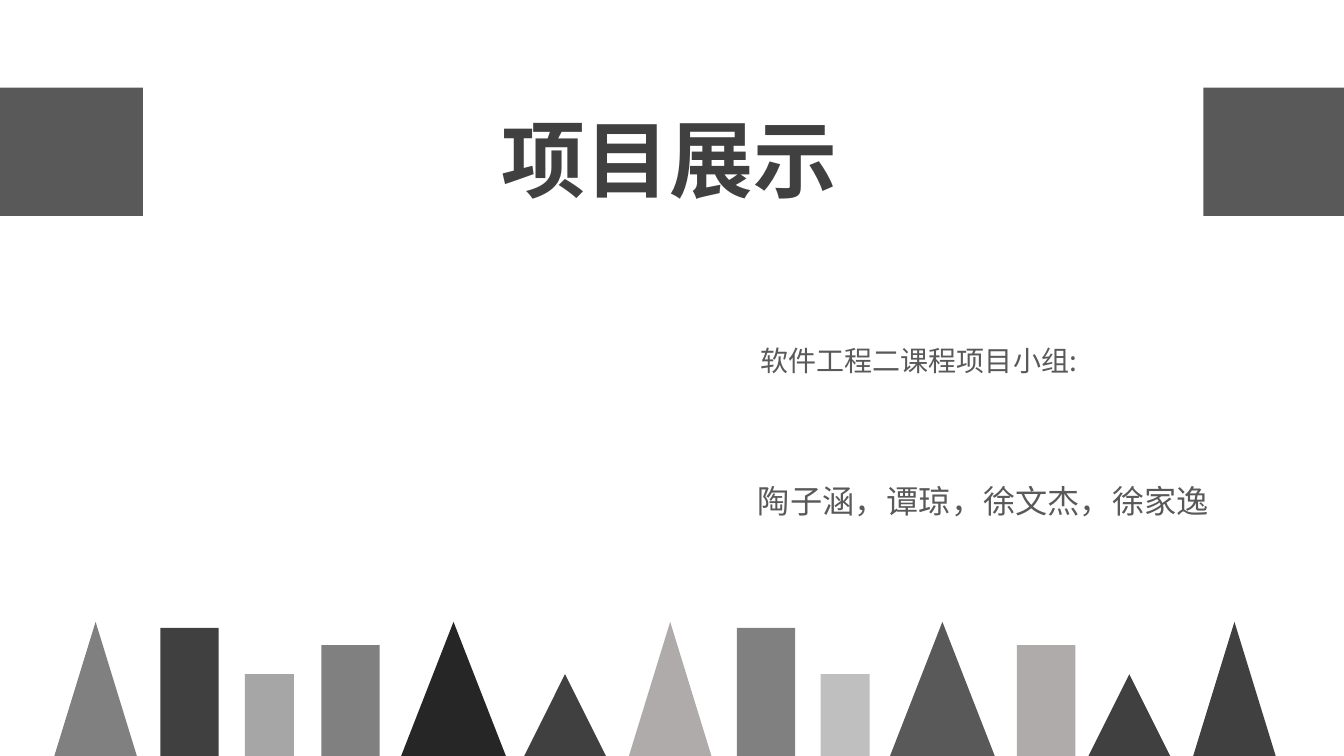
from lxml.etree import SubElement
from pptx import Presentation
from pptx.dml.color import RGBColor
from pptx.enum.shapes import MSO_SHAPE
from pptx.enum.text import MSO_ANCHOR, MSO_AUTO_SIZE, PP_ALIGN
from pptx.oxml.ns import qn
from pptx.util import Cm, Pt

FONT = "Noto Sans CJK SC"
WIDTH, HEIGHT = 33.87, 19.05
TOWER, PEAK = MSO_SHAPE.RECTANGLE, MSO_SHAPE.ISOSCELES_TRIANGLE
TALL, MEDIUM, LOW = (TOWER, 1.47, 3.23), (TOWER, 1.47, 2.79), (TOWER, 1.24, 2.06)
WIDE, SMALL, SLIM = (PEAK, 2.64, 3.38), (PEAK, 2.06, 2.06), (PEAK, 2.08, 3.38)
SKYLINE = [
    (1.37, SLIM, "808080"),
    (4.04, TALL, "404040"),
    (6.17, LOW, "A6A6A6"),
    (8.1, MEDIUM, "808080"),
    (10.11, WIDE, "262626"),
    (13.21, SMALL, "404040"),
    (15.85, SLIM, "AFABAB"),
    (18.57, TALL, "808080"),
    (20.68, LOW, "BFBFBF"),
    (22.43, WIDE, "595959"),
    (25.63, MEDIUM, "AFABAB"),
    (27.43, SMALL, "404040"),
    (30.07, SLIM, "404040"),
]


def color(hex_string):
    """Turn a hex string into a colour."""
    return RGBColor.from_string(hex_string)


def apply(target, formats):
    """Set each attribute in a dict of format values."""
    for name, value in formats.items():
        setattr(target, name, value)


def add_block(slide, kind, left, top, width, height, fill):
    """Add a flat shape without outline."""
    block = slide.shapes.add_shape(kind, Cm(left), Cm(top), Cm(width), Cm(height))
    block.shadow.inherit = False
    block.fill.solid()
    block.fill.fore_color.rgb = color(fill)
    block.line.fill.background()


def write_text(holder, text, size, fill, bold=False, align=PP_ALIGN.CENTER):
    """Write one formatted line into a text holder."""
    frame = holder.text_frame
    apply(frame, {"word_wrap": True, "auto_size": MSO_AUTO_SIZE.NONE,
                  "vertical_anchor": MSO_ANCHOR.MIDDLE})
    line = frame.paragraphs[0]
    line.alignment = align
    run = line.add_run()
    run.text = text
    apply(run.font, {"name": FONT, "size": Pt(size), "bold": bold})
    run.font.color.rgb = color(fill)
    SubElement(run.font._element, qn("a:ea")).set("typeface", FONT)


def add_line(slide, left, top, width, height, *content, **formats):
    """Add a text box holding one line."""
    box = slide.shapes.add_textbox(Cm(left), Cm(top), Cm(width), Cm(height))
    write_text(box, *content, **formats)


def main():
    """Build the title slide."""
    deck = Presentation()
    apply(deck, {"slide_width": Cm(WIDTH), "slide_height": Cm(HEIGHT)})
    slide = deck.slides.add_slide(deck.slide_layouts[5])

    title = slide.shapes.title
    apply(title, {"left": Cm(0), "top": Cm(2.57), "width": Cm(33.75), "height": Cm(2.82)})
    write_text(title, "项目展示", 60, "404040", bold=True)

    side_width = 3.6
    for left in (0, WIDTH - side_width + 0.06):
        add_block(slide, TOWER, left, 2.21, min(side_width, WIDTH - left), 3.23, "595959")

    for left, (kind, width, height), fill in SKYLINE:
        add_block(slide, kind, left, HEIGHT - height, width, height, fill)

    add_line(slide, 18.92, 8.51, 9.98, 1.12, "软件工程二课程项目小组:", 20, "595959",
             align=PP_ALIGN.LEFT)
    add_line(slide, 18.29, 11.99, 13, 1.24, "陶子涵，谭琼，徐文杰，徐家逸", 23, "595959")
    deck.save("out.pptx")


if __name__ == "__main__":
    main()
